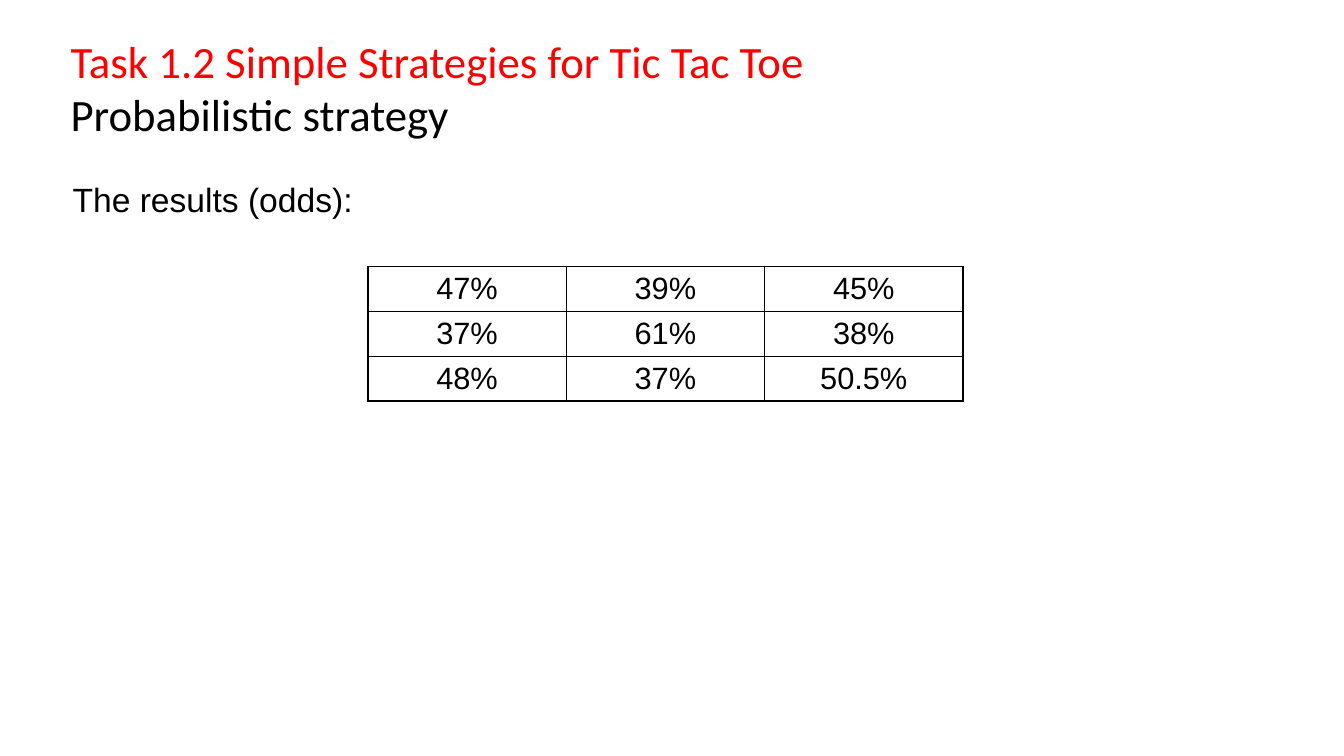
"""Build the slide on the odds of the probabilistic strategy."""
from dataclasses import dataclass

from lxml.etree import SubElement
from pptx import Presentation
from pptx.dml.color import RGBColor
from pptx.enum.text import MSO_ANCHOR, MSO_AUTO_SIZE, PP_ALIGN
from pptx.oxml.ns import qn
from pptx.util import Pt

INK = {"red": "FF0000", "black": "000000", "white": "FFFFFF"}
ODDS = [
    ["47%", "39%", "45%"],
    ["37%", "61%", "38%"],
    ["48%", "37%", "50.5%"],
]


@dataclass
class Box:
    """Place and inner margins of a text holder, in points."""
    left: float
    top: float
    width: float
    height: float
    side: float = 0
    edge: float = 0


def place(shape, box: Box, anchor: MSO_ANCHOR) -> None:
    """Move a placeholder and set up its text frame."""
    shape.left, shape.top = Pt(box.left), Pt(box.top)
    shape.width, shape.height = Pt(box.width), Pt(box.height)
    frame = shape.text_frame
    frame.word_wrap = True
    frame.auto_size = MSO_AUTO_SIZE.NONE
    frame.vertical_anchor = anchor
    frame.margin_left = frame.margin_right = Pt(box.side)
    frame.margin_top = frame.margin_bottom = Pt(box.edge)


def write(para, text: str, *, size: float, font: str = "Arial",
          ink: str = "black", align: PP_ALIGN = PP_ALIGN.LEFT,
          above: float = 0) -> None:
    """Put one formatted run in a paragraph."""
    para.alignment = align
    para.space_before = Pt(above)
    run = para.add_run()
    run.text = text
    run.font.size = Pt(size)
    run.font.name = font
    run.font.color.rgb = RGBColor.from_string(INK[ink])


def indent(para, left: float) -> None:
    """Drop the bullet and set the left indent."""
    props = para._p.get_or_add_pPr()
    props.set("marL", str(Pt(left)))
    props.set("indent", "0")
    SubElement(props, qn("a:buNone"))


def border(cell, width: float, ink: str) -> None:
    """Draw a line on all four sides of a cell."""
    props = cell._tc.get_or_add_tcPr()
    for side in ("lnL", "lnR", "lnT", "lnB"):
        line = SubElement(props, qn(f"a:{side}"), w=str(Pt(width)))
        fill = SubElement(line, qn("a:solidFill"))
        SubElement(fill, qn("a:srgbClr"), val=INK[ink])


def grid(slide, odds: list[list[str]], left: float, top: float,
         width: float, height: float) -> None:
    """Add the table of odds with equal columns and rows."""
    rows, cols = len(odds), len(odds[0])
    table = slide.shapes.add_table(
        rows, cols, Pt(left), Pt(top),
        Pt(width * cols), Pt(height * rows)).table
    table.first_row = table.horz_banding = False
    for row, texts in enumerate(odds):
        for col, text in enumerate(texts):
            cell = table.cell(row, col)
            border(cell, 1, "black")
            cell.fill.solid()
            cell.fill.fore_color.rgb = RGBColor.from_string(INK["white"])
            write(cell.text_frame.paragraphs[0], text, size=22,
                  align=PP_ALIGN.CENTER)


def main() -> None:
    """Build and save the deck."""
    deck = Presentation()
    deck.slide_width, deck.slide_height = Pt(960), Pt(540)
    slide = deck.slides.add_slide(deck.slide_layouts[1])

    title, body = slide.shapes.title, slide.placeholders[1]
    place(title, Box(43.2, 24, 890.6, 76.3, 7.2, 3.6), MSO_ANCHOR.MIDDLE)
    head = title.text_frame
    write(head.paragraphs[0], "Task 1.2 Simple Strategies for Tic Tac Toe",
          size=32, font="Calibri", ink="red")
    write(head.add_paragraph(), "Probabilistic strategy",
          size=32, font="Calibri")

    place(body, Box(43.2, 128, 864, 39.6), MSO_ANCHOR.TOP)
    intro = body.text_frame.paragraphs[0]
    write(intro, "The results (odds):", size=24, above=2)
    indent(intro, 8.64)

    grid(slide, ODDS, left=262.8, top=190.5, width=141.7, height=32)
    deck.save("out.pptx")


main()
